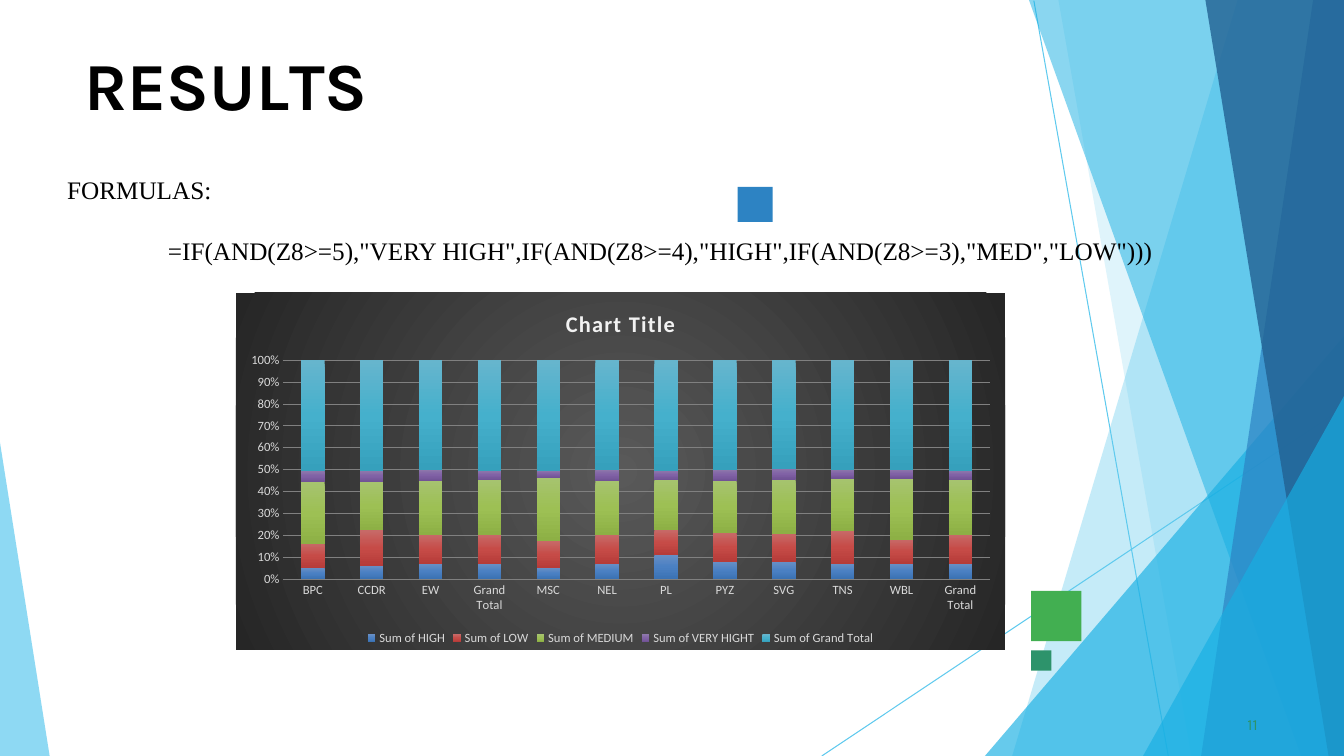
"""Build the RESULTS slide with its formula and stacked chart."""
from lxml.etree import SubElement
from pptx import Presentation
from pptx.chart.data import CategoryChartData
from pptx.dml.color import RGBColor
from pptx.enum.chart import XL_CHART_TYPE, XL_LEGEND_POSITION, XL_TICK_MARK
from pptx.enum.shapes import MSO_CONNECTOR, MSO_SHAPE
from pptx.enum.text import MSO_ANCHOR, MSO_AUTO_SIZE, PP_ALIGN
from pptx.oxml.ns import qn
from pptx.util import Pt

BLACK = RGBColor(0x00, 0x00, 0x00)
SKY = RGBColor(0x5F, 0xCA, 0xEE)
CYAN = RGBColor(0x17, 0xAF, 0xE3)
BLUE = RGBColor(0x2D, 0x83, 0xC3)
NAVY = RGBColor(0x22, 0x61, 0x92)
GREEN = RGBColor(0x42, 0xAF, 0x51)
TEAL = RGBColor(0x2D, 0x93, 0x6B)
PALE = RGBColor(0xD9, 0xD9, 0xD9)
OFF_WHITE = RGBColor(0xF2, 0xF2, 0xF2)
GRID = RGBColor(0x80, 0x80, 0x80)
CHART_STOPS = (RGBColor(0x59, 0x59, 0x59), RGBColor(0x26, 0x26, 0x26))

WIDTH, HEIGHT = 960, 540
PANELS = [
    ([(960, 0), (884, 0), (723, 540), (960, 540)], SKY, 36),
    ([(960, 0), (756, 0), (851, 540), (960, 540)], SKY, 20),
    ([(960, 240), (703.5, 540), (960, 540)], CYAN, 66),
    ([(960, 0), (735, 0), (929.5, 540), (960, 540)], CYAN, 50),
    ([(960, 0), (938, 0), (858, 540), (960, 540)], BLUE, 70),
    ([(960, 0), (861, 0), (949, 540), (960, 540)], NAVY, 80),
    ([(960, 283), (816.5, 540), (960, 540)], CYAN, 66),
    ([(0, 316), (0, 540), (35.5, 540)], SKY, 70),
]
LINES = [(738.5, 0.5, 834.5, 540), (960, 291, 587, 540)]
SQUARES = [(736.5, 422, 36, GREEN), (527, 133.5, 25, BLUE), (736.5, 464.5, 14.5, TEAL)]
TITLE_RUNS = [("R", 0), ("E", -0.4), ("S", 0.1), ("U", -0.3), ("L", -4), ("TS", 0)]
FORMULA = '=IF(AND(Z8>=5),"VERY HIGH",IF(AND(Z8>=4),"HIGH",IF(AND(Z8>=3),"MED","LOW")))'

CATEGORIES = ["BPC", "CCDR", "EW", "Grand Total", "MSC", "NEL",
              "PL", "PYZ", "SVG", "TNS", "WBL", "Grand Total"]
SERIES = [
    ("Sum of HIGH", [5, 6, 7, 7, 5, 7, 11, 8, 8, 7, 7, 7],
     (RGBColor(0x68, 0x8F, 0xC5), RGBColor(0x4A, 0x80, 0xC3), RGBColor(0x3B, 0x72, 0xB3))),
    ("Sum of LOW", [11, 16, 13, 13, 12, 13, 11, 13, 13, 15, 11, 13],
     (RGBColor(0xC7, 0x69, 0x67), RGBColor(0xC6, 0x4B, 0x47), RGBColor(0xB6, 0x3C, 0x39))),
    ("Sum of MEDIUM", [28, 22, 25, 25, 29, 25, 23, 24, 25, 24, 28, 25],
     (RGBColor(0xA6, 0xC3, 0x6F), RGBColor(0x9D, 0xC0, 0x54), RGBColor(0x8D, 0xB0, 0x45))),
    ("Sum of VERY HIGHT", [5, 5, 5, 4, 3, 5, 4, 5, 5, 4, 4, 4],
     (RGBColor(0x8E, 0x78, 0xAC), RGBColor(0x80, 0x61, 0xA5), RGBColor(0x71, 0x53, 0x96))),
    ("Sum of Grand Total", [50] * 12,
     (RGBColor(0x66, 0xB5, 0xCD), RGBColor(0x45, 0xB0, 0xCC), RGBColor(0x36, 0xA0, 0xBC))),
]


def paint(sp, color, opacity=100):
    """Give a shape a plain fill without line or shadow."""
    sp.shadow.inherit = False
    sp.fill.solid()
    sp.fill.fore_color.rgb = color
    sp.line.fill.background()
    if opacity < 100:
        clr = sp.element.spPr.find(".//" + qn("a:srgbClr"))
        SubElement(clr, qn("a:alpha"), val=str(opacity * 1000))


def add_panel(s, points, color, opacity):
    """Draw one translucent background polygon."""
    corners = [(Pt(x), Pt(y)) for x, y in points]
    builder = s.shapes.build_freeform(*corners[0])
    builder.add_line_segments(corners[1:], close=True)
    paint(builder.convert_to_shape(), color, opacity)


def add_line(s, *ends):
    """Draw one thin background line."""
    line = s.shapes.add_connector(MSO_CONNECTOR.STRAIGHT, *map(Pt, ends))
    line.line.color.rgb = SKY
    line.line.width = Pt(0.75)
    SubElement(line.element.spPr, qn("a:effectLst"))


def add_square(s, x, y, side, color):
    """Draw one accent square."""
    sp = s.shapes.add_shape(MSO_SHAPE.RECTANGLE, Pt(x), Pt(y), Pt(side), Pt(side))
    paint(sp, color)


def place_text(sp, x, y, w, h, top=0):
    """Move a text shape to the front and return its frame."""
    sp.element.getparent().append(sp.element)
    sp.left, sp.top, sp.width, sp.height = map(Pt, (x, y, w, h))
    tf = sp.text_frame
    tf.auto_size, tf.word_wrap = MSO_AUTO_SIZE.NONE, True
    tf.vertical_anchor = MSO_ANCHOR.TOP
    tf.margin_left = tf.margin_right = tf.margin_bottom = 0
    tf.margin_top = Pt(top)
    return tf


def format_paragraph(p, before=0, indent=0):
    """Set a left-aligned paragraph without bullet."""
    p.alignment = PP_ALIGN.LEFT
    p.space_before = Pt(before)
    pPr = p._p.get_or_add_pPr()
    pPr.set("marL", str(Pt(indent)))
    pPr.set("indent", "0")
    SubElement(pPr, qn("a:buNone"))


def add_run(p, text, font, size, color=BLACK, bold=False, spacing=0):
    """Append one formatted run."""
    r = p.add_run()
    r.text = text
    r.font.name, r.font.size, r.font.bold = font, Pt(size), bold
    r.font.color.rgb = color
    if spacing:
        r.font._element.set("spc", str(round(spacing * 100)))


def add_gradient(spPr, colors, radial=False):
    """Put an evenly spaced gradient first in the shape properties."""
    grad = SubElement(spPr, qn("a:gradFill"), rotWithShape="1")
    stops = SubElement(grad, qn("a:gsLst"))
    for i, color in enumerate(colors):
        stop = SubElement(stops, qn("a:gs"), pos=str(100000 * i // (len(colors) - 1)))
        SubElement(stop, qn("a:srgbClr"), val=str(color))
    if radial:
        circle = SubElement(grad, qn("a:path"), {"path": "circle"})
        SubElement(circle, qn("a:fillToRect"), l="50000", t="50000", r="50000", b="50000")
    else:
        SubElement(grad, qn("a:lin"), ang="5400000", scaled="0")
    spPr.insert(0, grad)


def format_font(font):
    """Set the small pale chart font."""
    font.name, font.size = "Calibri", Pt(9)
    font.color.rgb = PALE


def add_results_chart(s):
    """Add the stacked percentage chart on its dark background."""
    data = CategoryChartData()
    data.categories = CATEGORIES
    for name, values, _ in SERIES:
        data.add_series(name, values)
    chart = s.shapes.add_chart(XL_CHART_TYPE.COLUMN_STACKED_100,
                               Pt(168.5), Pt(209), Pt(549.5), Pt(255), data).chart
    format_font(chart.font)
    chart.has_title = True
    add_run(chart.chart_title.text_frame.paragraphs[0], "Chart Title",
            "Calibri", 16, OFF_WHITE, bold=True, spacing=1)
    chart.has_legend = True
    chart.legend.position = XL_LEGEND_POSITION.BOTTOM
    chart.legend.include_in_layout = False
    format_font(chart.legend.font)
    for axis in (chart.category_axis, chart.value_axis):
        axis.major_tick_mark = axis.minor_tick_mark = XL_TICK_MARK.NONE
        axis.format.line.fill.background()
        format_font(axis.tick_labels.font)
    labels = chart.value_axis.tick_labels
    labels.number_format, labels.number_format_is_linked = "0%", False
    grid = chart.value_axis.major_gridlines.format.line
    grid.color.rgb, grid.width = GRID, Pt(0.75)
    plot = chart.plots[0]
    plot.gap_width, plot.overlap, plot.vary_by_categories = 150, 100, False
    for ser, (_, _, colors) in zip(plot.series, SERIES):
        add_gradient(ser._element.get_or_add_spPr(), colors)
    area = SubElement(chart.element, qn("c:spPr"))
    add_gradient(area, CHART_STOPS, radial=True)
    SubElement(SubElement(area, qn("a:ln")), qn("a:noFill"))
    chart.element.find(qn("c:chart")).addnext(area)


def main():
    """Build and save the slide."""
    prs = Presentation()
    prs.slide_width, prs.slide_height = Pt(WIDTH), Pt(HEIGHT)
    s = prs.slides.add_slide(prs.slide_layouts[1])
    for line in LINES:
        add_line(s, *line)
    for panel in PANELS:
        add_panel(s, *panel)
    for square in SQUARES:
        add_square(s, *square)

    p = place_text(s.shapes.title, 60, 30, 841, 60, top=1).paragraphs[0]
    format_paragraph(p, before=1)
    for text, spacing in TITLE_RUNS:
        add_run(p, text, "Karla", 48, bold=True, spacing=spacing)

    tf = place_text(s.placeholders[1], 48, 124.5, 864, 262)
    p = tf.paragraphs[0]
    format_paragraph(p)
    add_run(p, "FORMULAS:", "Times New Roman", 18)
    p = tf.add_paragraph()
    format_paragraph(p, before=22, indent=72)
    add_run(p, FORMULA, "Times New Roman", 18)

    number = s.shapes.add_textbox(0, 0, 0, 0)
    p = place_text(number, 888, 510, 18, 15, top=1).paragraphs[0]
    format_paragraph(p, before=0.5, indent=3)
    add_run(p, "11", "Karla", 11, TEAL, spacing=0.1)
    add_results_chart(s)
    prs.save("out.pptx")


if __name__ == "__main__":
    main()
